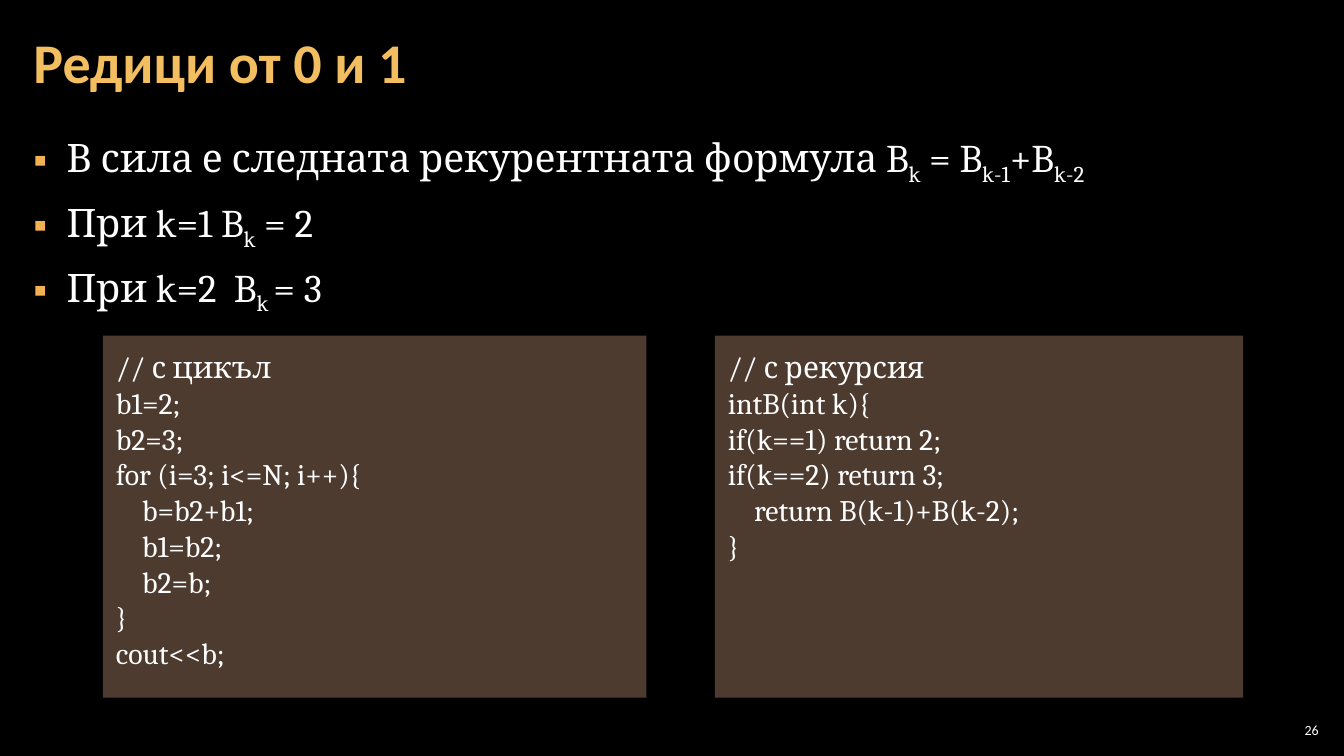
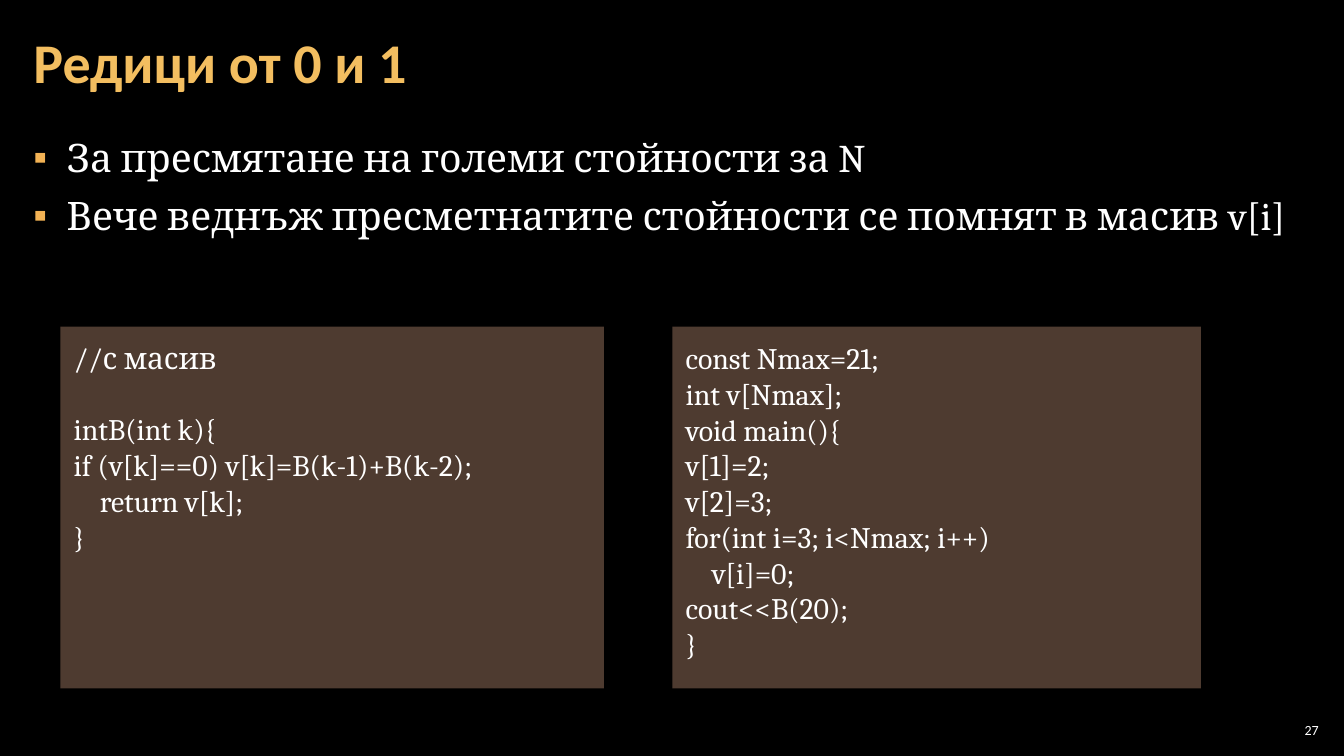
from lxml import etree
from pptx import Presentation
from pptx.dml.color import RGBColor
from pptx.enum.shapes import MSO_SHAPE
from pptx.enum.text import MSO_ANCHOR as Anchor, MSO_AUTO_SIZE as AutoSize, PP_ALIGN as Align
from pptx.oxml.ns import qn
from pptx.util import Inches, Pt

BLACK, WHITE = "000000", "FFFFFF"
GOLD, BULLET_GOLD, BROWN = "F3BE60", "F2B254", "4E3B30"
HEADING_FONT, BODY_FONT = "Calibri", "Cambria"
CODE_SIZE = 21.3
CODE_LINE = 25.5
CODE_WIDTHS = (5.39, 5.24)
CODE_HEIGHT, CODE_GAP = 3.59, 0.68


def color(value):
    return RGBColor.from_string(value)


class Deck:
    def __init__(self):
        self.presentation = Presentation()
        self.presentation.slide_width = Inches(13.33)
        self.presentation.slide_height = Inches(7.5)
        background = self.presentation.slide_master.background.fill
        background.solid()
        background.fore_color.rgb = color(BLACK)
        self.slide = None

    def add_slide(self, title, number):
        layout = self.presentation.slide_layouts.get_by_name("Title Only")
        self.slide = self.presentation.slides.add_slide(layout)
        self.title(title)
        self.page_number(number)

    def frame(self, shape, horizontal, vertical, anchor):
        """Set the margins, wrapping and anchor of a shape's text."""
        frame = shape.text_frame
        frame.word_wrap = True
        frame.auto_size = AutoSize.NONE
        frame.vertical_anchor = anchor
        frame.margin_left = frame.margin_right = Inches(horizontal)
        frame.margin_top = frame.margin_bottom = Inches(vertical)
        return frame

    def format_runs(self, paragraph, name, size, value, bold=False):
        for run in paragraph.runs:
            run.font.name = name
            run.font.size = Pt(size)
            run.font.bold = bold
            run.font.color.rgb = color(value)

    def title(self, text):
        shape = self.slide.shapes.title
        shape.left, shape.top = Inches(0.21), Inches(0.04)
        shape.width, shape.height = Inches(12.91), Inches(1.21)
        frame = self.frame(shape, 0.12, 0.04, Anchor.MIDDLE)
        frame.text = text
        paragraph = frame.paragraphs[0]
        paragraph.alignment = Align.LEFT
        paragraph.line_spacing = 0.9
        self.format_runs(paragraph, HEADING_FONT, 40, GOLD, bold=True)

    def page_number(self, number):
        box = self.slide.shapes.add_textbox(
            Inches(12.65), Inches(7.14), Inches(0.47), Inches(0.21))
        frame = self.frame(box, 0.04, 0.04, Anchor.MIDDLE)
        frame.text = str(number)
        paragraph = frame.paragraphs[0]
        paragraph.alignment = Align.RIGHT
        self.format_runs(paragraph, HEADING_FONT, 10, WHITE)

    def add_bullet(self, paragraph):
        properties = paragraph._p.get_or_add_pPr()
        properties.set("marL", str(Inches(0.33)))
        properties.set("indent", str(-Inches(0.33)))
        bullet_color = etree.SubElement(properties, qn("a:buClr"))
        etree.SubElement(bullet_color, qn("a:srgbClr")).set("val", BULLET_GOLD)
        etree.SubElement(properties, qn("a:buFont")).set("typeface", "Arial")
        etree.SubElement(properties, qn("a:buChar")).set("char", "▪")

    def bullets(self, items):
        """Each item alternates normal and subscript pieces, starting with normal."""
        box = self.slide.shapes.add_textbox(
            Inches(0.21), Inches(1.26), Inches(12.91), Inches(2))
        frame = self.frame(box, 0.12, 0.04, Anchor.TOP)
        for index, pieces in enumerate(items):
            paragraph = frame.add_paragraph() if index else frame.paragraphs[0]
            self.add_bullet(paragraph)
            paragraph.line_spacing = 1.05
            paragraph.space_after = Pt(6)
            for position, piece in enumerate(pieces):
                run = paragraph.add_run()
                run.text = piece
                if position % 2:
                    run._r.get_or_add_rPr().set("baseline", "-25000")
            self.format_runs(paragraph, BODY_FONT, 28, WHITE)

    def code_panel(self, left, top, width, code):
        """Draw a code listing; an empty line becomes space before the next one."""
        panel = self.slide.shapes.add_shape(
            MSO_SHAPE.RECTANGLE, Inches(left), Inches(top), Inches(width), Inches(CODE_HEIGHT))
        panel.shadow.inherit = False
        panel.fill.solid()
        panel.fill.fore_color.rgb = color(BROWN)
        panel.line.fill.background()
        frame = self.frame(panel, 0.13, 0.13, Anchor.TOP)
        gap = 0
        for index, line in enumerate(code.splitlines()):
            if not line:
                gap += CODE_LINE
                continue
            paragraph = frame.add_paragraph() if index else frame.paragraphs[0]
            paragraph.text = line
            paragraph.alignment = Align.LEFT
            if gap:
                paragraph.space_before = Pt(gap)
                gap = 0
            self.format_runs(paragraph, BODY_FONT, CODE_SIZE, WHITE)

    def code_pair(self, left, top, listings):
        for width, code in zip(CODE_WIDTHS, listings):
            self.code_panel(left, top, width, code)
            left += width + CODE_GAP


LOOP_CODE = """// с цикъл
b1=2;
b2=3;
for (i=3; i<=N; i++){
    b=b2+b1;
    b1=b2;
    b2=b;
}
cout<<b;"""

RECURSION_CODE = """// с рекурсия
intB(int k){
if(k==1) return 2;
if(k==2) return 3;
    return B(k-1)+B(k-2);
}"""

ARRAY_CODE = """//с масив

intB(int k){
if (v[k]==0) v[k]=B(k-1)+B(k-2);
    return v[k];
}"""

MAIN_CODE = """const Nmax=21;
int v[Nmax];
void main(){
v[1]=2;
v[2]=3;
for(int i=3; i<Nmax; i++)
    v[i]=0;
cout<<B(20);
}"""

TITLE = "Редици от 0 и 1"


def main():
    deck = Deck()

    deck.add_slide(TITLE, 26)
    deck.bullets([
        ["В сила е следната рекурентната формула B", "k", " = B", "k-1", "+B", "k-2"],
        ["При k=1 B", "k", " = 2"],
        ["При k=2  B", "k ", "= 3"],
    ])
    deck.code_pair(1.02, 3.33, [LOOP_CODE, RECURSION_CODE])

    deck.add_slide(TITLE, 27)
    deck.bullets([
        ["За пресмятане на големи стойности за N"],
        ["Вече веднъж пресметнатите стойности се помнят в масив v[i]"],
    ])
    deck.code_pair(0.6, 3.24, [ARRAY_CODE, MAIN_CODE])

    deck.presentation.save("out.pptx")


if __name__ == "__main__":
    main()
